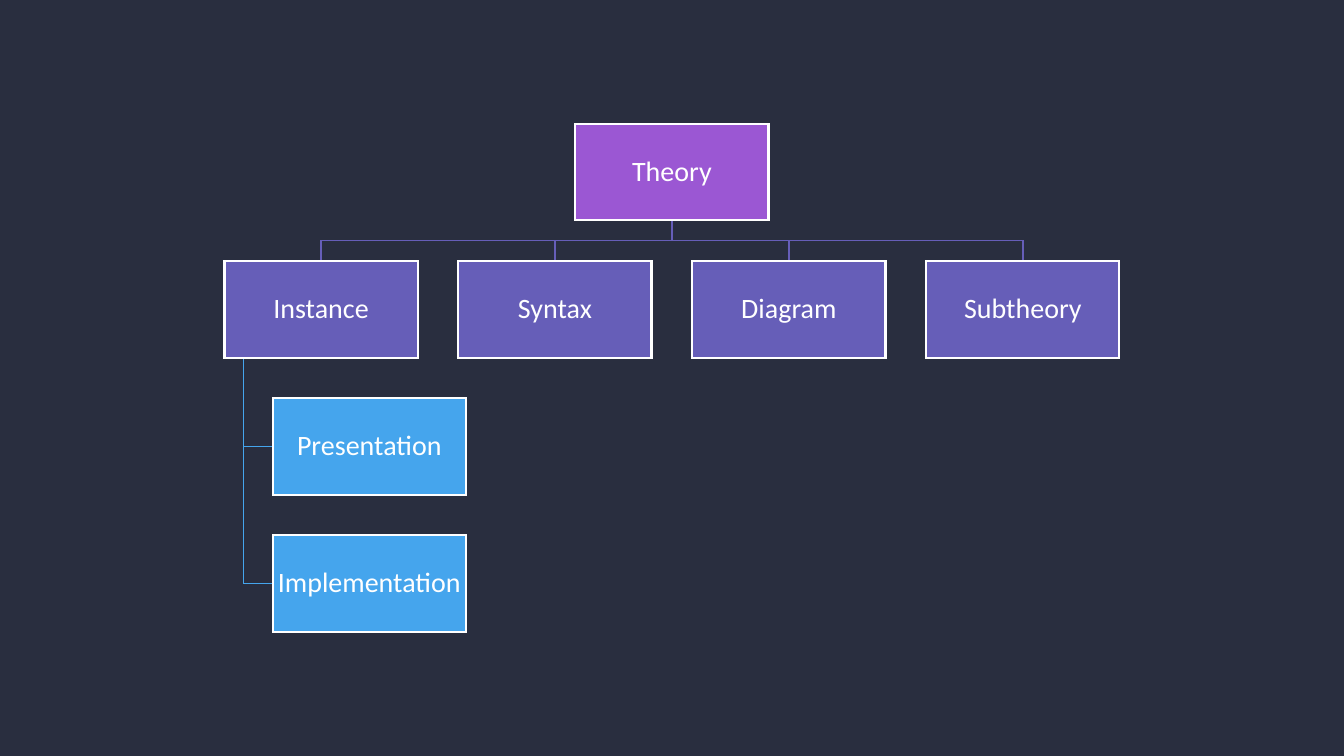
"""Builds a slide with the hierarchy of theory concepts."""
from lxml import etree
from pptx import Presentation
from pptx.dml.color import RGBColor
from pptx.enum.shapes import MSO_SHAPE
from pptx.enum.text import MSO_ANCHOR, PP_ALIGN
from pptx.oxml.ns import qn
from pptx.util import Pt

NAVY = RGBColor(0x29, 0x2E, 0x3F)
PURPLE = RGBColor(0x9B, 0x57, 0xD3)
INDIGO = RGBColor(0x66, 0x5E, 0xB8)
BLUE = RGBColor(0x45, 0xA5, 0xED)
WHITE = RGBColor(0xFF, 0xFF, 0xFF)

SLIDE_W, SLIDE_H = 960, 540
BOX_W, BOX_H = 138, 69
COLUMN_PITCH, ROW_PITCH = 167.1, 97.95
TOP = 88.5
CENTER = SLIDE_W / 2


class OrgChart:
    font = "Calibri"
    font_size = 20

    def __init__(self, slide):
        self.slide = slide
        slide.background.fill.solid()
        slide.background.fill.fore_color.rgb = NAVY

    def outline(self, shape, color, width):
        shape.shadow.inherit = False
        shape.line.color.rgb = color
        shape.line.width = Pt(width)
        line = shape.line._get_or_add_ln()
        etree.SubElement(line, qn("a:miter"), lim="800000")

    def box(self, label, left, top, color):
        shape = self.slide.shapes.add_shape(
            MSO_SHAPE.RECTANGLE, Pt(left), Pt(top), Pt(BOX_W), Pt(BOX_H))
        shape.fill.solid()
        shape.fill.fore_color.rgb = color
        self.outline(shape, WHITE, 1.5)
        frame = shape.text_frame
        frame.word_wrap = True
        frame.vertical_anchor = MSO_ANCHOR.MIDDLE
        frame.margin_left = frame.margin_right = Pt(1)
        frame.margin_top = frame.margin_bottom = Pt(1)
        paragraph = frame.paragraphs[0]
        paragraph.alignment = PP_ALIGN.CENTER
        paragraph.line_spacing = 0.9
        run = paragraph.add_run()
        run.text = label
        run.font.name = self.font
        run.font.size = Pt(self.font_size)
        run.font.color.rgb = WHITE

    def branch(self, points, color):
        start, *rest = [(Pt(x), Pt(y)) for x, y in points]
        builder = self.slide.shapes.build_freeform(*start)
        builder.add_line_segments(rest, close=False)
        shape = builder.convert_to_shape()
        shape.fill.background()
        self.outline(shape, color, 1)


prs = Presentation()
prs.slide_width, prs.slide_height = Pt(SLIDE_W), Pt(SLIDE_H)
chart = OrgChart(prs.slides.add_slide(prs.slide_layouts[6]))

concepts = ["Instance", "Syntax", "Diagram", "Subtheory"]
instance_parts = ["Presentation", "Implementation"]

root_bottom = TOP + BOX_H
concept_top = TOP + ROW_PITCH
bus_y = (root_bottom + concept_top) / 2
first_center = CENTER - COLUMN_PITCH * (len(concepts) - 1) / 2
centers = [first_center + i * COLUMN_PITCH for i in range(len(concepts))]
instance_left = first_center - BOX_W / 2
trunk_x = instance_left + BOX_W / 10
part_left = instance_left + BOX_W / 4
part_tops = [concept_top + (i + 1) * ROW_PITCH for i in range(len(instance_parts))]

for x in centers:
    chart.branch([(CENTER, root_bottom), (CENTER, bus_y), (x, bus_y), (x, concept_top)], INDIGO)
for top in part_tops:
    middle = top + BOX_H / 2
    chart.branch([(trunk_x, concept_top + BOX_H), (trunk_x, middle), (part_left, middle)], BLUE)

chart.box("Theory", CENTER - BOX_W / 2, TOP, PURPLE)
for concept, x in zip(concepts, centers):
    chart.box(concept, x - BOX_W / 2, concept_top, INDIGO)
for part, top in zip(instance_parts, part_tops):
    chart.box(part, part_left, top, BLUE)

prs.save("out.pptx")
